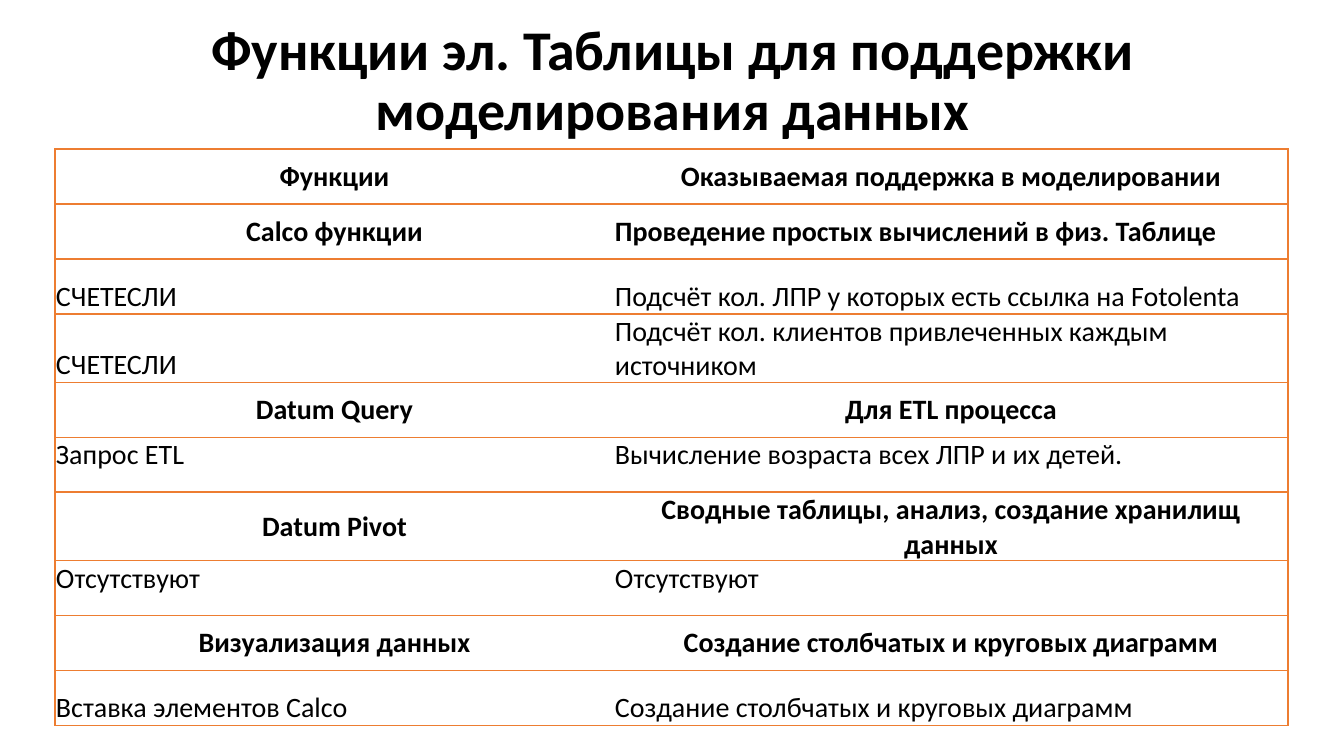
from lxml import etree
from pptx import Presentation
from pptx import util as u
from pptx.dml.color import RGBColor
from pptx.enum import text
from pptx.oxml import ns

SCALE = 914400 / 100.8
BLACK = RGBColor(0x00, 0x00, 0x00)
WHITE = RGBColor(0xFF, 0xFF, 0xFF)
ORANGE = RGBColor(0xED, 0x7D, 0x31)

CENTER = text.PP_ALIGN.CENTER
LEFT = text.PP_ALIGN.LEFT
TOP = text.MSO_ANCHOR.TOP
MIDDLE = text.MSO_ANCHOR.MIDDLE
BOTTOM = text.MSO_ANCHOR.BOTTOM

HEADING = (True, MIDDLE, CENTER, CENTER)
SUMMARY = (True, MIDDLE, CENTER, LEFT)
DETAIL_TOP = (False, TOP, LEFT, LEFT)
DETAIL_BOTTOM = (False, BOTTOM, LEFT, LEFT)

FUNCTIONS = [
    ("Функции", "Оказываемая поддержка в моделировании", HEADING),
    ("Calco функции", "Проведение простых вычислений в физ. Таблице", SUMMARY),
    ("СЧЕТЕСЛИ", "Подсчёт кол. ЛПР у которых есть ссылка на Fotolenta", DETAIL_BOTTOM),
    ("СЧЕТЕСЛИ", "Подсчёт кол. клиентов привлеченных каждым источником", DETAIL_BOTTOM),
    ("Datum Query", "Для ETL процесса", HEADING),
    ("Запрос ETL", "Вычисление возраста всех ЛПР и их детей.", DETAIL_TOP),
    ("Datum Pivot", "Сводные таблицы, анализ, создание хранилищ данных", HEADING),
    ("Отсутствуют", "Отсутствуют", DETAIL_TOP),
    ("Визуализация данных", "Создание столбчатых и круговых диаграмм", HEADING),
    ("Вставка элементов Calco", "Создание столбчатых и круговых диаграмм", DETAIL_BOTTOM),
]


def px(length):
    return u.Emu(round(length * SCALE))


class SlideBuilder:
    font = "Calibri"

    def __init__(self, deck):
        self.page = deck.slides.add_slide(deck.slide_layouts[6])

    def paragraph(self, frame, content, size, bold, align):
        frame.word_wrap = True
        para = frame.paragraphs[0]
        para.text = content
        para.alignment = align
        para.font.name = self.font
        para.font.size = u.Pt(size)
        para.font.bold = bold
        para.font.color.rgb = BLACK
        return para

    def title(self, content, left, top, width, height):
        box = self.page.shapes.add_textbox(px(left), px(top), px(width), px(height))
        box.text_frame.vertical_anchor = MIDDLE
        para = self.paragraph(box.text_frame, content, 40, True, CENTER)
        para.line_spacing = 0.9

    def borders(self, cell, visible):
        properties = cell._tc.get_or_add_tcPr()
        for index, side in enumerate("LRTB"):
            line = etree.Element(ns.qn(f"a:ln{side}"), w=str(u.Pt(1)))
            if side in visible:
                fill = etree.SubElement(line, ns.qn("a:solidFill"))
                etree.SubElement(fill, ns.qn("a:srgbClr"), val=str(ORANGE))
            else:
                etree.SubElement(line, ns.qn("a:noFill"))
            properties.insert(index, line)

    def table(self, rows, left, top, widths, row_height):
        table = self.page.shapes.add_table(
            len(rows), len(widths), px(left), px(top),
            px(sum(widths)), px(row_height * len(rows))).table
        table.first_row = False
        table.horz_banding = False
        for column, width in zip(table.columns, widths):
            column.width = px(width)
        for row, (name, support, style) in zip(table.rows, rows):
            row.height = px(row_height)
            bold, anchor, *aligns = style
            for cell, content, align, sides in zip(row.cells, (name, support), aligns, ("LTB", "RTB")):
                cell.fill.solid()
                cell.fill.fore_color.rgb = WHITE
                cell.margin_left = cell.margin_right = cell.margin_top = px(1)
                cell.margin_bottom = 0
                cell.vertical_anchor = anchor
                self.paragraph(cell.text_frame, content, 20, bold, align)
                self.borders(cell, sides)


def main():
    deck = Presentation()
    deck.slide_width = px(1344)
    deck.slide_height = px(756)
    builder = SlideBuilder(deck)
    builder.title("Функции эл. Таблицы для поддержки моделирования данных", 93, 16, 1159, 133)
    builder.table(FUNCTIONS, 55, 149, (559, 674), 55)
    deck.save("out.pptx")


if __name__ == "__main__":
    main()
